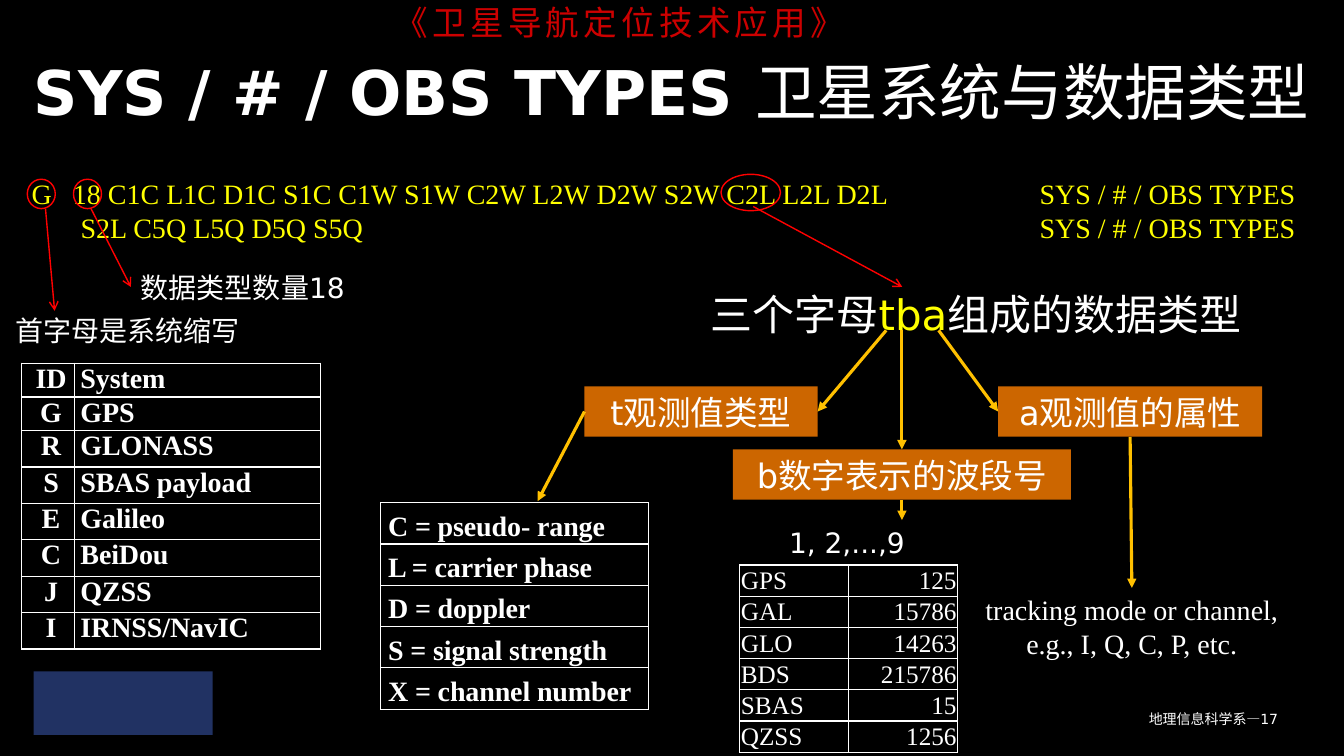
from lxml import etree
from pptx import Presentation
from pptx.dml.color import RGBColor
from pptx.enum import shapes, text
from pptx.oxml import ns
from pptx.util import Pt

SANS, SERIF, CJK = "DejaVu Sans", "Times New Roman", "Noto Sans CJK SC"
LEFT, CENTER, RIGHT = text.PP_ALIGN.LEFT, text.PP_ALIGN.CENTER, text.PP_ALIGN.RIGHT
WHITE, YELLOW, RED, GOLD, ORANGE = "FFFFFF", "FFFF00", "FF0000", "FFC000", "CC6600"
rgb = RGBColor.from_string


def style(tf, size, font=SANS, color=WHITE, align=LEFT, bold=False, spacing=0):
    tf.word_wrap = True
    for p in tf.paragraphs:
        p.alignment = align
        for r in p.runs:
            r.font.size = Pt(size)
            r.font.name = font
            r.font.bold = bold
            r.font.color.rgb = rgb(color)
            rPr = r._r.get_or_add_rPr()
            etree.SubElement(rPr, ns.qn("a:ea"), typeface=CJK)
            if spacing:
                rPr.set("spc", str(int(spacing * 100)))


def add_grid(x, y, widths, heights, rows, aligns, size, bold, inset, indent, leading):
    frame = s.shapes.add_table(len(rows), len(widths), Pt(x), Pt(y), Pt(sum(widths)), Pt(sum(heights)))
    table = frame.table
    table.first_row = table.horz_banding = False
    for col, width in zip(table.columns, widths):
        col.width = Pt(width)
    for i, row in enumerate(rows):
        table.rows[i].height = Pt(heights[i])
        for j, value in enumerate(row):
            cell = table.cell(i, j)
            cell.margin_left = cell.margin_right = cell.margin_top = Pt(inset)
            cell.margin_bottom = 0
            if inset:
                cell.vertical_anchor = text.MSO_ANCHOR.MIDDLE
            cell.text_frame.text = value
            style(cell.text_frame, size, SERIF, align=aligns[j], bold=bold, spacing=-0.1 if bold else 0)
            p = cell.text_frame.paragraphs[0]
            p.line_spacing = leading
            p._p.get_or_add_pPr().set("marL", str(Pt(indent)))
            tcPr = cell._tc.get_or_add_tcPr()
            for side in ("lnL", "lnR", "lnT", "lnB"):
                ln = etree.SubElement(tcPr, ns.qn("a:" + side), w=str(Pt(1)))
                fill = etree.SubElement(ln, ns.qn("a:solidFill"))
                etree.SubElement(fill, ns.qn("a:srgbClr"), val=WHITE)
            cell.fill.background()


prs = Presentation()
prs.slide_width, prs.slide_height = Pt(960), Pt(540)
s = prs.slides.add_slide(prs.slide_layouts[6])
s.background.fill.solid()
s.background.fill.fore_color.rgb = rgb("000000")

sp = s.shapes.add_shape(shapes.MSO_SHAPE.RECTANGLE, Pt(24), Pt(479.5), Pt(128), Pt(45.5))
sp.shadow.inherit = False
sp.fill.solid()
sp.fill.fore_color.rgb = rgb("213263")
sp.line.fill.background()

labels = [
    ("地理信息科学系—17", 512, 504, 408, 24, 10, SANS, WHITE, RIGHT, 0),
    ("《卫星导航定位技术应用》", 275, -2, 582, 36, 24, CJK, "CC0000", LEFT, 3),
    ("首字母是系统缩写", 4, 220.5, 274, 31.5, 20, SANS, WHITE, LEFT, 0),
    ("数据类型数量18", 93.5, 189.5, 176, 31.5, 20, SANS, WHITE, LEFT, 0),
    ("1, 2,...,9", 556.5, 371.5, 176, 31.5, 20, SANS, WHITE, LEFT, 0),
    ("tracking mode or channel, e.g., I, Q, C, P, etc.", 684, 420, 249, 55.5, 20, SERIF, WHITE, CENTER, 0),
]
for words, x, y, w, h, size, font, color, align, spacing in labels:
    tf = s.shapes.add_textbox(Pt(x), Pt(y), Pt(w), Pt(h)).text_frame
    tf.text = words
    style(tf, size, font, color, align, spacing=spacing)

tf = s.shapes.add_textbox(0, Pt(34), Pt(960), Pt(62)).text_frame
tf.vertical_anchor = text.MSO_ANCHOR.MIDDLE
p = tf.paragraphs[0]
p.text = "SYS / # / OBS TYPES "
p.add_run().text = "卫星系统与数据类型"
style(tf, 44, align=CENTER)
p.runs[0].font.bold = True

tf = s.shapes.add_textbox(Pt(500.5), Pt(202.5), Pt(425), Pt(44)).text_frame
p = tf.paragraphs[0]
p.text = "三个字母"
for words in ("tba", "组成的数据类型"):
    p.add_run().text = words
style(tf, 30)
p.runs[1].font.color.rgb = rgb(YELLOW)

tf = s.shapes.add_textbox(Pt(15.5), Pt(122.5), Pt(944.5), Pt(55.5)).text_frame
tf.text = (
    "G\t18 C1C L1C D1C S1C C1W S1W C2W L2W D2W S2W C2L L2L D2L\tSYS / # / OBS TYPES\n"
    "\tS2L C5Q L5Q D5Q S5Q\tSYS / # / OBS TYPES"
)
for p, first_stop in zip(tf.paragraphs, (29.5, 35)):
    tabs = etree.SubElement(p._p.get_or_add_pPr(), ns.qn("a:tabLst"))
    for stop in (first_stop, 720):
        etree.SubElement(tabs, ns.qn("a:tab"), pos=str(Pt(stop)), algn="l")
style(tf, 20, SERIF, YELLOW)

for x, y, w, h in ((19.5, 128, 20, 21), (52.5, 128, 20, 21), (515, 124.5, 42.5, 26)):
    sp = s.shapes.add_shape(shapes.MSO_SHAPE.OVAL, Pt(x), Pt(y), Pt(w), Pt(h))
    sp.shadow.inherit = False
    sp.fill.background()
    sp.line.color.rgb = rgb(RED)
    sp.line.width = Pt(1)

boxes = {}
for key, words, x, y, w in (
    ("t", "t观测值类型", 417.5, 276, 166.5),
    ("b", "b数字表示的波段号", 523.5, 321, 241.5),
    ("a", "a观测值的属性", 713, 276, 188.5),
):
    sp = s.shapes.add_shape(shapes.MSO_SHAPE.RECTANGLE, Pt(x), Pt(y), Pt(w), Pt(36))
    sp.shadow.inherit = False
    sp.fill.solid()
    sp.fill.fore_color.rgb = rgb(ORANGE)
    sp.line.fill.background()
    sp.text_frame.text = words
    style(sp.text_frame, 24, align=CENTER)
    boxes[key] = sp

arrows = [
    (32.5, 149, 39, 222, RED, None, None),
    (65, 149, 93.5, 205, RED, None, None),
    (538, 147.5, 644.5, 205, RED, None, None),
    (633, 236, 584, 294, GOLD, None, ("t", 3)),
    (644.25, 236, 644.25, 321, GOLD, None, ("b", 0)),
    (670.5, 236, 713, 294, GOLD, None, ("a", 1)),
    (417.5, 294, 384, 358, GOLD, ("t", 1), None),
    (644.25, 357, 644.25, 371.5, GOLD, ("b", 2), None),
    (807.25, 312, 808.5, 420, GOLD, ("a", 2), None),
]
for x1, y1, x2, y2, color, start, end in arrows:
    c = s.shapes.add_connector(shapes.MSO_CONNECTOR.STRAIGHT, Pt(x1), Pt(y1), Pt(x2), Pt(y2))
    if start:
        c.begin_connect(boxes[start[0]], start[1])
    if end:
        c.end_connect(boxes[end[0]], end[1])
    c.line.color.rgb = rgb(color)
    c.line.width = Pt(1 if color == RED else 2.25)
    head = "arrow" if color == RED else "triangle"
    etree.SubElement(c.line._get_or_add_ln(), ns.qn("a:tailEnd"), type=head)
    etree.SubElement(c._element.spPr, ns.qn("a:effectLst"))

systems = [("ID", "System"), ("G", "GPS"), ("R", "GLONASS"), ("S", "SBAS payload"),
           ("E", "Galileo"), ("C", "BeiDou"), ("J", "QZSS"), ("I", "IRNSS/NavIC")]
add_grid(15.5, 259.5, [38, 175.5], [24] * 2 + [26] * 6, systems, [CENTER, LEFT], 20, True, 0, 4, 1)

types = [("C = pseudo- range",), ("L = carrier phase",), ("D = doppler",),
         ("S = signal strength",), ("X = channel number",)]
add_grid(272, 359, [191], [29.4] * 5, types, [LEFT], 20, True, 0.7, 4.5, 1.2)

bands = [("GPS", "125"), ("GAL", "15786"), ("GLO", "14263"),
         ("BDS", "215786"), ("SBAS", "15"), ("QZSS", "1256")]
add_grid(528.5, 403.5, [77.75] * 2, [22.2] * 6, bands, [LEFT, RIGHT], 18, False, 0.7, 0, 1)

prs.save("out.pptx")
